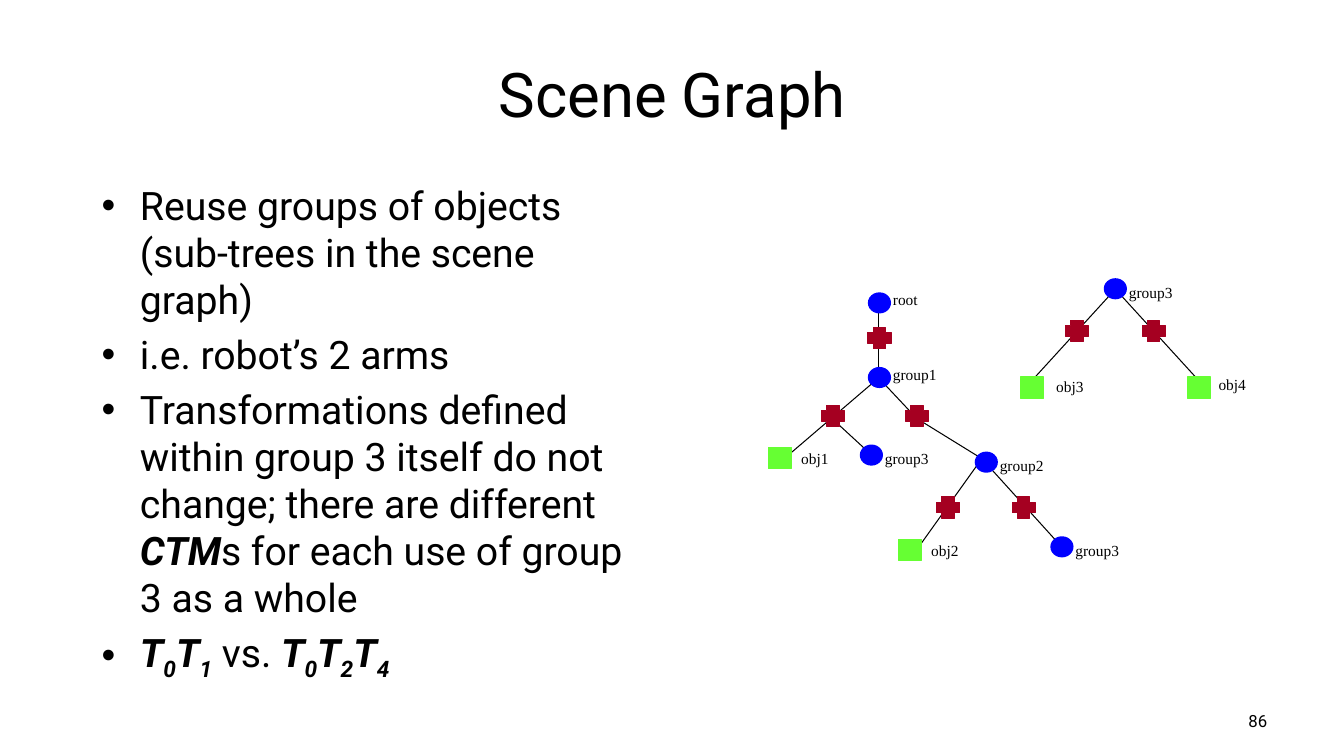
from collections import namedtuple
from dataclasses import dataclass

from lxml.etree import SubElement
from pptx import Presentation
from pptx.dml.color import RGBColor
from pptx.enum.shapes import MSO_CONNECTOR, MSO_SHAPE
from pptx.enum.text import MSO_ANCHOR, PP_ALIGN
from pptx.oxml.ns import qn
from pptx.util import Inches, Pt

COLUMNS, ROWS = 133.33, 75
SLIDE_WIDTH, SLIDE_HEIGHT = Inches(13.33), Inches(7.5)


@dataclass(frozen=True)
class Theme:
    text_font: str = "Roboto"
    label_font: str = "Times New Roman"
    ink: str = "000000"
    group_blue: str = "0000FF"
    transform_red: str = "A50021"
    object_green: str = "66FF33"
    title_size: float = 44
    body_size: float = 28
    number_size: float = 12
    label_size: float = 11
    line_width: float = 0.75


THEME = Theme()
NODE_WIDTH, NODE_HEIGHT = 2.3, 2.1
LABEL_WIDTH, LABEL_HEIGHT = 7.6, 3.7

Kind = namedtuple("Kind", "outline fill outlined")
GROUP = Kind(MSO_SHAPE.OVAL, THEME.group_blue, False)
TRANSFORM = Kind(MSO_SHAPE.CROSS, THEME.transform_red, True)
OBJECT = Kind(MSO_SHAPE.RECTANGLE, THEME.object_green, True)

# Left column and top row of a node; the label is offset from that corner.
Node = namedtuple("Node", "kind left top label shift", defaults=("", (1.5, 0)))
BESIDE_OBJECT = (2.3, -0.3)
RAISED = (1.5, -0.7)

SHARED_EDGES = [
    (111, 28.3, 102.7, 37.4), (110.3, 28.3, 118.6, 37.4),
]
SHARED_NODES = [
    Node(GROUP, 109.5, 27.6, "group3"),
    Node(TRANSFORM, 113.3, 31.8),
    Node(TRANSFORM, 105.7, 31.8),
    Node(OBJECT, 101.2, 37.4, "obj3", (2.6, -0.5)),
    Node(OBJECT, 117.8, 37.4, "obj4", (2.1, -0.7)),
]
SCENE_EDGES = [
    (97.4, 45.5, 91.4, 53.9), (97.4, 45.5, 105, 53.9),
    (90.6, 41.3, 97.4, 45.5), (82.3, 41.3, 86.1, 44.8),
    (86.8, 37.1, 91.4, 42), (86.8, 37.8, 77.8, 45.5),
    (87.2, 30.4, 87.2, 37.4),
]
SCENE_NODES = [
    Node(GROUP, 86.1, 29, "root", RAISED),
    Node(GROUP, 86.1, 36.4, "group1", RAISED),
    Node(GROUP, 85.3, 44.1, "group3"),
    Node(GROUP, 96.7, 44.8, "group2"),
    Node(GROUP, 104.2, 53.2, "group3"),
    Node(TRANSFORM, 100.4, 49.3),
    Node(TRANSFORM, 92.9, 49.3),
    Node(TRANSFORM, 89.8, 40.2),
    Node(TRANSFORM, 81.5, 40.2),
    Node(TRANSFORM, 86.1, 32.5),
    Node(OBJECT, 76.2, 44.4, "obj1", BESIDE_OBJECT),
    Node(OBJECT, 89.1, 53.5, "obj2", BESIDE_OBJECT),
]

PLAIN, STRONG, SUBSCRIPT = "plain", "strong", "subscript"
BULLETS = [
    [("Reuse groups of objects (sub-trees in the scene graph)", PLAIN)],
    [("i.e. robot’s 2 arms", PLAIN)],
    [("Transformations defined within group 3 itself do not change; "
      "there are different ", PLAIN),
     ("CTM", STRONG), ("s for each use of group 3 as a whole", PLAIN)],
    [("T", STRONG), ("0", SUBSCRIPT), ("T", STRONG), ("1", SUBSCRIPT),
     (" vs. ", PLAIN),
     ("T", STRONG), ("0", SUBSCRIPT), ("T", STRONG), ("2", SUBSCRIPT),
     ("T", STRONG), ("4", SUBSCRIPT)],
]


def across(columns):
    return round(SLIDE_WIDTH * columns / COLUMNS)


def down(rows):
    return round(SLIDE_HEIGHT * rows / ROWS)


def grid_box(left, top, width, height):
    return across(left), down(top), across(width), down(height)


def rgb(colour):
    return RGBColor.from_string(colour)


def style_font(font, name, size):
    font.name = name
    font.size = Pt(size)
    font.color.rgb = rgb(THEME.ink)


def add_frame(shapes, place, anchor=MSO_ANCHOR.TOP):
    frame = shapes.add_textbox(*grid_box(*place)).text_frame
    frame.word_wrap = True
    frame.vertical_anchor = anchor
    return frame


def add_text(shapes, place, text, size, font=THEME.text_font,
             align=PP_ALIGN.LEFT, anchor=MSO_ANCHOR.MIDDLE):
    frame = add_frame(shapes, place, anchor)
    frame.text = text
    paragraph = frame.paragraphs[0]
    paragraph.alignment = align
    style_font(paragraph.runs[0].font, font, size)


def add_bullet(paragraph):
    properties = paragraph._p.get_or_add_pPr()
    properties.set("marL", str(Inches(0.62)))
    properties.set("indent", str(Inches(-0.38)))
    SubElement(properties, qn("a:buFont"), typeface="Arial")
    SubElement(properties, qn("a:buChar"), char="•")


def add_bullets(shapes, place):
    frame = add_frame(shapes, place)
    for index, pieces in enumerate(BULLETS):
        paragraph = frame.add_paragraph() if index else frame.paragraphs[0]
        add_bullet(paragraph)
        paragraph.space_before = Pt(5.6 if index else 0)
        for text, style in pieces:
            run = paragraph.add_run()
            run.text = text
            style_font(run.font, THEME.text_font, THEME.body_size)
            run.font.bold = run.font.italic = style != PLAIN
            if style == SUBSCRIPT:
                run._r.get_or_add_rPr().set("baseline", "-25000")


def add_edge(shapes, x1, y1, x2, y2):
    edge = shapes.add_connector(
        MSO_CONNECTOR.STRAIGHT, across(x1), down(y1), across(x2), down(y2))
    edge.line.color.rgb = rgb(THEME.ink)
    edge.line.width = Pt(THEME.line_width)
    SubElement(edge._element.spPr, qn("a:effectLst"))


def add_node(shapes, node):
    kind = node.kind
    marker = shapes.add_shape(
        kind.outline, *grid_box(node.left, node.top, NODE_WIDTH, NODE_HEIGHT))
    marker.shadow.inherit = False
    marker.fill.solid()
    marker.fill.fore_color.rgb = rgb(kind.fill)
    if kind.outlined:
        marker.line.color.rgb = rgb(kind.fill)
        marker.line.width = Pt(THEME.line_width)
    else:
        marker.line.fill.background()
    if node.label:
        right, lower = node.shift
        add_text(shapes, (node.left + right, node.top + lower,
                          LABEL_WIDTH, LABEL_HEIGHT),
                 node.label, THEME.label_size, THEME.label_font,
                 anchor=MSO_ANCHOR.TOP)


def add_tree(slide, edges, nodes):
    shapes = slide.shapes.add_group_shape().shapes
    for edge in edges:
        add_edge(shapes, *edge)
    for node in nodes:
        add_node(shapes, node)


def main():
    deck = Presentation()
    deck.slide_width, deck.slide_height = SLIDE_WIDTH, SLIDE_HEIGHT
    slide = deck.slides.add_slide(deck.slide_layouts[6])
    add_text(slide.shapes, (6.7, 3, 120, 12.5), "Scene Graph",
             THEME.title_size, align=PP_ALIGN.CENTER)
    add_bullets(slide.shapes, (6.7, 17.5, 58.9, 49.5))
    add_text(slide.shapes, (95.6, 69.5, 31.1, 4), "86",
             THEME.number_size, align=PP_ALIGN.RIGHT)
    add_tree(slide, SHARED_EDGES, SHARED_NODES)
    add_tree(slide, SCENE_EDGES, SCENE_NODES)
    deck.save("out.pptx")


if __name__ == "__main__":
    main()
